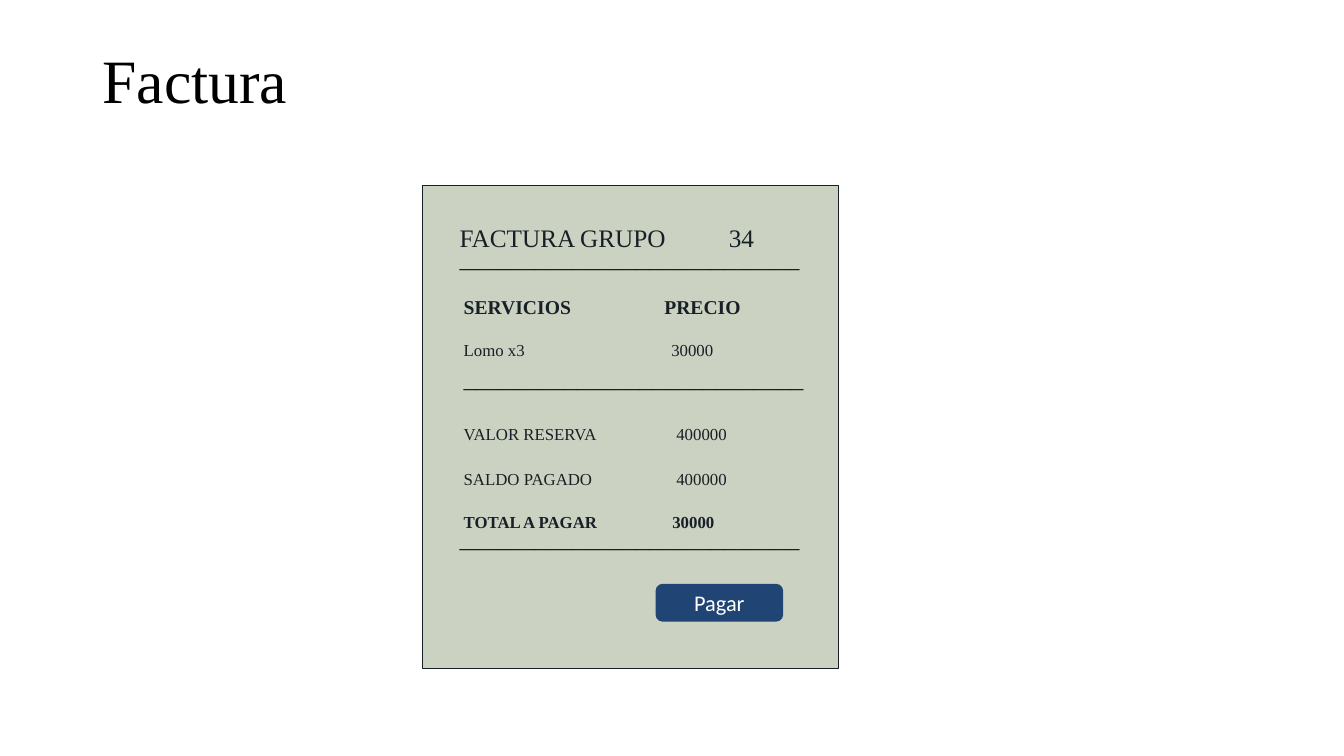
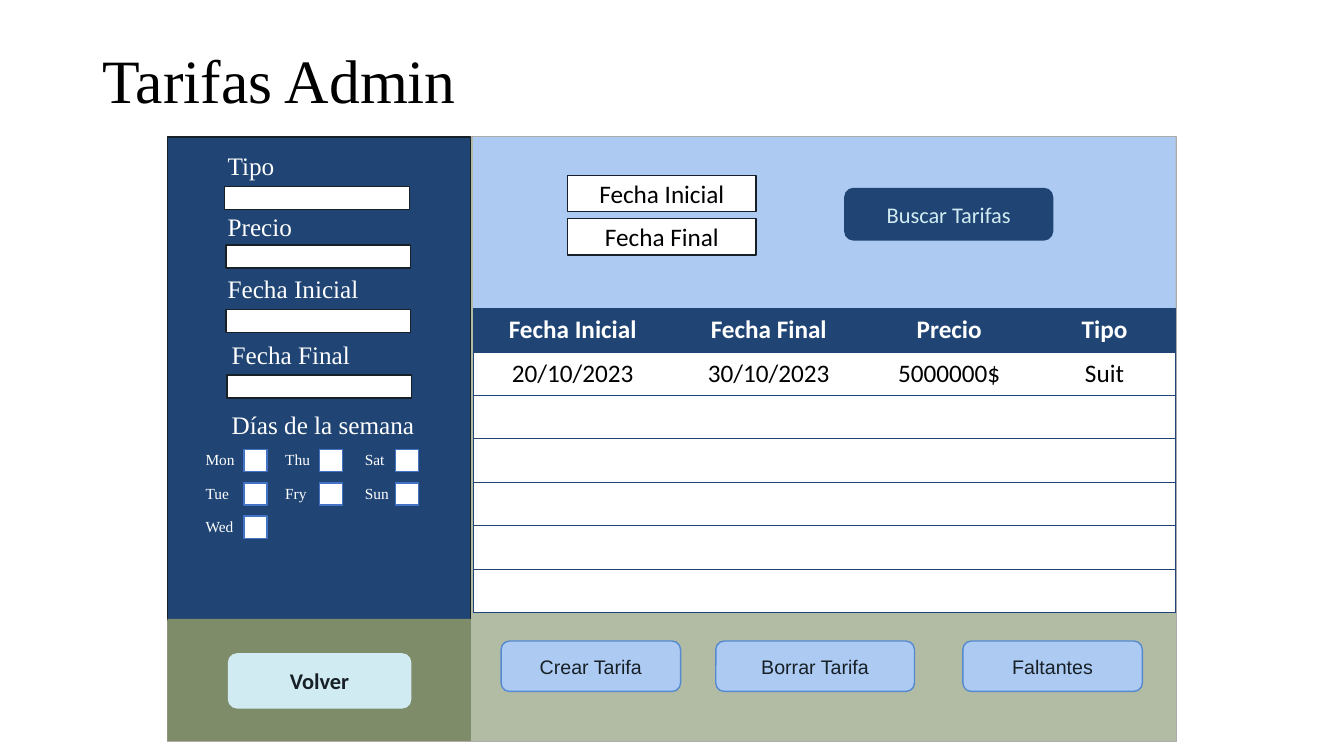
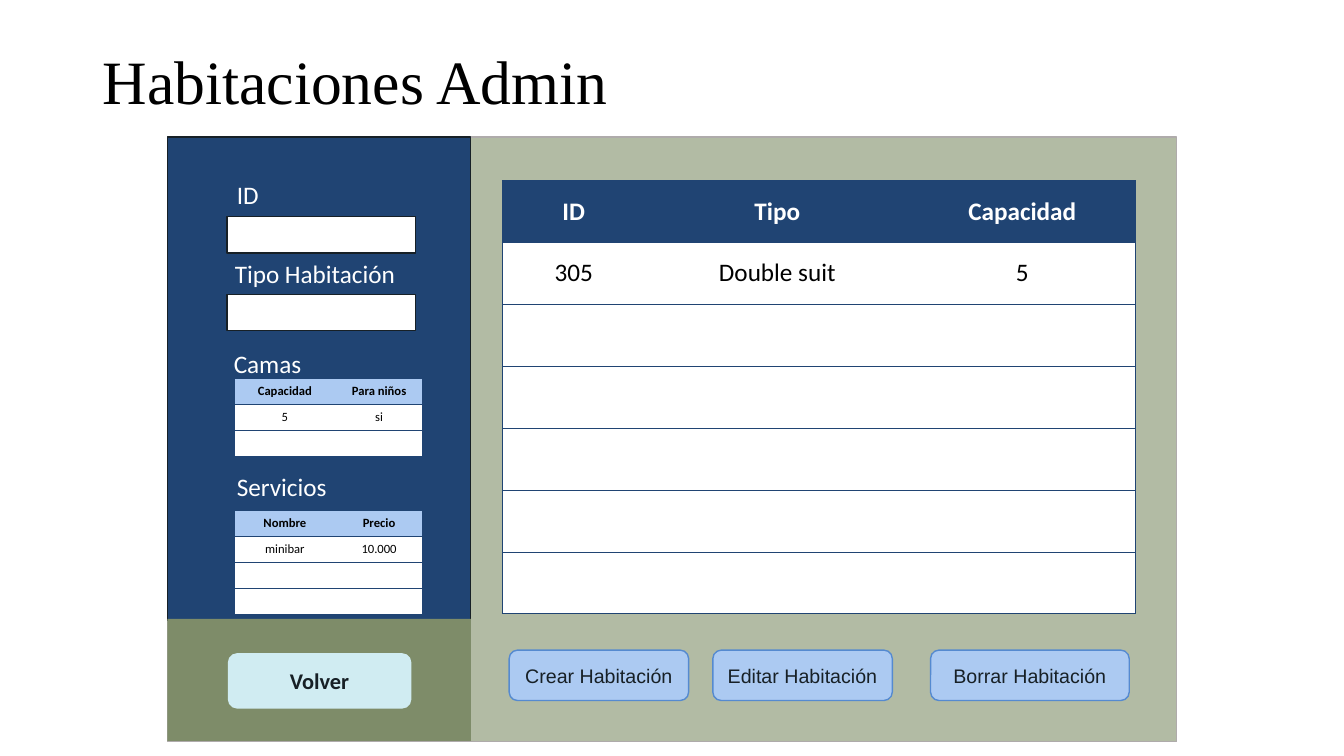
from lxml.etree import SubElement
from pptx import Presentation
from pptx.dml.color import RGBColor
from pptx.enum.shapes import MSO_SHAPE
from pptx.enum.text import MSO_ANCHOR as Anchor, PP_ALIGN as Align
from pptx.oxml.ns import qn
from pptx.util import Inches, Pt

NAVY, INK, WHITE, BLACK = "204473", "172026", "FFFFFF", "000000"
SKY, ICE, SAGE, OLIVE, MIST = "ACCAF2", "D0ECF2", "B2BBA4", "7E8C69", "CCD2C2"
SKY_EDGE, CHECK_EDGE, FRAME_EDGE = "558AD0", "4472C4", "AFABAB"
SERIF, SANS, BUTTON_FONT = "Times New Roman", "Calibri", "Arial"


def color(value):
    return RGBColor.from_string(value)


def write_text(frame, text, size=18, font=SANS, ink=BLACK, bold=False,
               align=Align.LEFT, anchor=Anchor.TOP, spacing=None, tab=None):
    frame.word_wrap = True
    frame.vertical_anchor = anchor
    para = frame.paragraphs[0]
    para.alignment = align
    if spacing:
        para.line_spacing = spacing
    if tab:
        stops = SubElement(para._p.get_or_add_pPr(), qn("a:tabLst"))
        SubElement(stops, qn("a:tab"), pos=str(Inches(tab)), algn="l")
    span = para.add_run()
    span.text = text
    span.font.size = Pt(size)
    span.font.name = font
    span.font.bold = bold
    span.font.color.rgb = color(ink)


def add_text(page, text, left, top, width, height=0.4, **style):
    box = page.shapes.add_textbox(Inches(left), Inches(top), Inches(width), Inches(height))
    write_text(box.text_frame, text, **style)


def add_block(page, left, top, width, height, fill, edge=None,
              kind=MSO_SHAPE.RECTANGLE, text=None, **style):
    block = page.shapes.add_shape(kind, Inches(left), Inches(top), Inches(width), Inches(height))
    block.shadow.inherit = False
    block.fill.solid()
    block.fill.fore_color.rgb = color(fill)
    if edge:
        block.line.color.rgb = color(edge)
        block.line.width = Pt(1)
    else:
        block.line.fill.background()
    if text:
        write_text(block.text_frame, text, align=Align.CENTER, anchor=Anchor.MIDDLE, **style)


def add_button(page, text, left, top, width, height=0.5, fill=SKY, edge=SKY_EDGE,
               size=14, font=BUTTON_FONT, ink=INK, **style):
    add_block(page, left, top, width, height, fill, edge, MSO_SHAPE.ROUNDED_RECTANGLE,
              text, size=size, font=font, ink=ink, **style)


def add_field(page, left, top, width, height, text=None):
    add_block(page, left, top, width, height, WHITE, INK, text=text)


def set_borders(cell, first, last):
    properties = cell._tc.get_or_add_tcPr()
    for side, shown in (("L", first), ("R", last), ("T", True), ("B", True)):
        line = SubElement(properties, qn(f"a:ln{side}"), w=str(Pt(0.5)))
        if shown:
            fill = SubElement(line, qn("a:solidFill"))
            SubElement(fill, qn("a:srgbClr"), val=NAVY)
        else:
            SubElement(line, qn("a:noFill"))


def add_grid(page, left, top, widths, height, row_count, rows,
             head_fill=NAVY, head_ink=WHITE, size=18):
    table = page.shapes.add_table(row_count, len(widths), Inches(left), Inches(top),
                                  Inches(sum(widths)), Inches(height)).table
    table.horz_banding = False
    for column, width in zip(table.columns, widths):
        column.width = Inches(width)
    for index, row in enumerate(table.rows):
        row.height = Inches(height / row_count)
        head = index == 0
        for place, cell in enumerate(row.cells):
            set_borders(cell, place == 0, place == len(widths) - 1)
            cell.fill.solid()
            cell.fill.fore_color.rgb = color(head_fill if head else WHITE)
            if index < len(rows):
                cell.vertical_anchor = Anchor.MIDDLE
                write_text(cell.text_frame, rows[index][place], size=size, bold=head,
                           ink=head_ink if head else BLACK, align=Align.CENTER,
                           anchor=Anchor.MIDDLE)
            else:
                para = cell.text_frame.paragraphs[0]
                SubElement(para._p, qn("a:endParaRPr"), sz=str(size * 100))


def add_page(deck, title, top=0.39):
    page = deck.slides.add_slide(deck.slide_layouts[6])
    add_text(page, title, 0.92, top, 11.5, 0.88, size=44, font=SERIF,
             anchor=Anchor.MIDDLE, spacing=0.9)
    return page


def add_admin_page(deck, title, top=0.39):
    page = add_page(deck, title, top)
    add_block(page, 1.66, 1.36, 10.01, 6, SAGE, FRAME_EDGE)
    add_block(page, 1.66, 1.36, 3.01, 4.79, NAVY, INK)
    add_block(page, 1.66, 6.14, 3.01, 1.21, OLIVE)
    add_button(page, "Volver", 2.26, 6.48, 1.82, 0.55, ICE, None, size=16, font=SANS, bold=True)
    return page


def build_invoice(deck):
    page = add_page(deck, "Factura")
    add_block(page, 4.19, 1.84, 4.13, 4.79, MIST, INK)
    entries = (
        ("FACTURA GRUPO", "34", 4.46, 2.16, 18, False, 2.67),
        ("SERVICIOS", "PRECIO", 4.5, 2.88, 14, True, 1.99),
        ("Lomo x3", "30000", 4.5, 3.32, 12, False, 2.06),
        ("VALOR RESERVA", "400000", 4.5, 4.15, 12, False, 2.11),
        ("SALDO PAGADO", "400000", 4.5, 4.6, 12, False, 2.11),
        ("TOTAL A PAGAR", "30000", 4.5, 5.03, 12, True, 2.07),
    )
    for label, amount, left, top, size, bold, tab in entries:
        add_text(page, f"{label}\t{amount}", left, top, 3.61, size=size, font=SERIF,
                 ink=INK, bold=bold, tab=tab)
    for left, top in ((4.46, 2.35), (4.5, 3.55), (4.46, 5.13)):
        add_text(page, "_" * 27, left, top, 3.61, font=SERIF, ink=INK)
    add_button(page, "Pagar", 6.51, 5.8, 1.25, 0.36, NAVY, NAVY, size=16, font=SANS, ink=WHITE)


def build_rates(deck):
    page = add_admin_page(deck, "Tarifas Admin")
    add_block(page, 4.69, 1.36, 6.97, 1.7, SKY)
    for index, text in enumerate(("Fecha Inicial", "Fecha Final")):
        add_field(page, 5.63, 1.74 + 0.43 * index, 1.87, 0.36, text)
    add_button(page, "Buscar Tarifas", 8.38, 1.87, 2.06, 0.51, NAVY, NAVY,
               size=16, font=SANS, ink=ICE)
    add_grid(page, 4.69, 3.06, (1.98, 1.91, 1.67, 1.41), 3.02, 7, (
        ("Fecha Inicial", "Fecha Final", "Precio", "Tipo"),
        ("20/10/2023", "30/10/2023", "5000000$", "Suit")))
    fields = (
        ("Tipo", 2.16, 1.44, 2.23, 1.85),
        ("Precio", 2.16, 2.05, 2.24, 2.43),
        ("Fecha Inicial", 2.16, 2.66, 2.24, 3.07),
        ("Fecha Final", 2.2, 3.32, 2.25, 3.72),
    )
    for label, left, top, field_left, field_top in fields:
        add_text(page, label, left, top, 2.07, font=SERIF, ink=WHITE)
        add_field(page, field_left, field_top, 1.83, 0.23)
    add_text(page, "Días de la semana", 2.2, 4.01, 2.07, font=SERIF, ink=WHITE)
    for column, days in enumerate((("Mon", "Tue", "Wed"), ("Thu", "Fry"), ("Sat", "Sun"))):
        for row, day in enumerate(days):
            add_text(page, day, 1.94 + 0.79 * column, 4.42 + 0.33 * row, 0.53, 0.29,
                     size=11, font=SERIF, ink=WHITE)
            add_block(page, 2.42 + 0.75 * column, 4.46 + 0.33 * row, 0.23, 0.22,
                      WHITE, CHECK_EDGE)
    for text, left, width in (("Crear Tarifa", 4.97, 1.78), ("Borrar Tarifa", 7.1, 1.97),
                              ("Faltantes", 9.55, 1.78)):
        add_button(page, text, left, 6.36, width)


def build_rooms(deck):
    page = add_admin_page(deck, "Habitaciones Admin", 0.4)
    add_grid(page, 4.98, 1.79, (1.42, 2.62, 2.24), 4.3, 7, (
        ("ID", "Tipo", "Capacidad"), ("305", "Double suit", "5")))
    for top in (2.15, 2.92):
        add_field(page, 2.25, top, 1.87, 0.36)
    for label, left, top in (("ID", 2.25, 1.73), ("Tipo Habitación", 2.23, 2.51),
                             ("Camas", 2.22, 3.41), ("Servicios", 2.25, 4.63)):
        add_text(page, label, left, top, 1.95, ink=WHITE)
    for top, height, row_count, rows in (
            (3.75, 0.78, 3, (("Capacidad", "Para niños"), ("5", "si"))),
            (5.06, 1.03, 4, (("Nombre", "Precio"), ("minibar", "10.000")))):
        add_grid(page, 2.32, top, (1.01, 0.86), height, row_count, rows, SKY, BLACK, 9)
    for text, left, width in (("Crear Habitación", 5.05, 1.78), ("Editar Habitación", 7.07, 1.78),
                              ("Borrar Habitación", 9.23, 1.97)):
        add_button(page, text, left, 6.45, width)


def main():
    deck = Presentation()
    deck.slide_width, deck.slide_height = Inches(13.33), Inches(7.5)
    build_invoice(deck)
    build_rates(deck)
    build_rooms(deck)
    deck.save("out.pptx")


if __name__ == "__main__":
    main()
